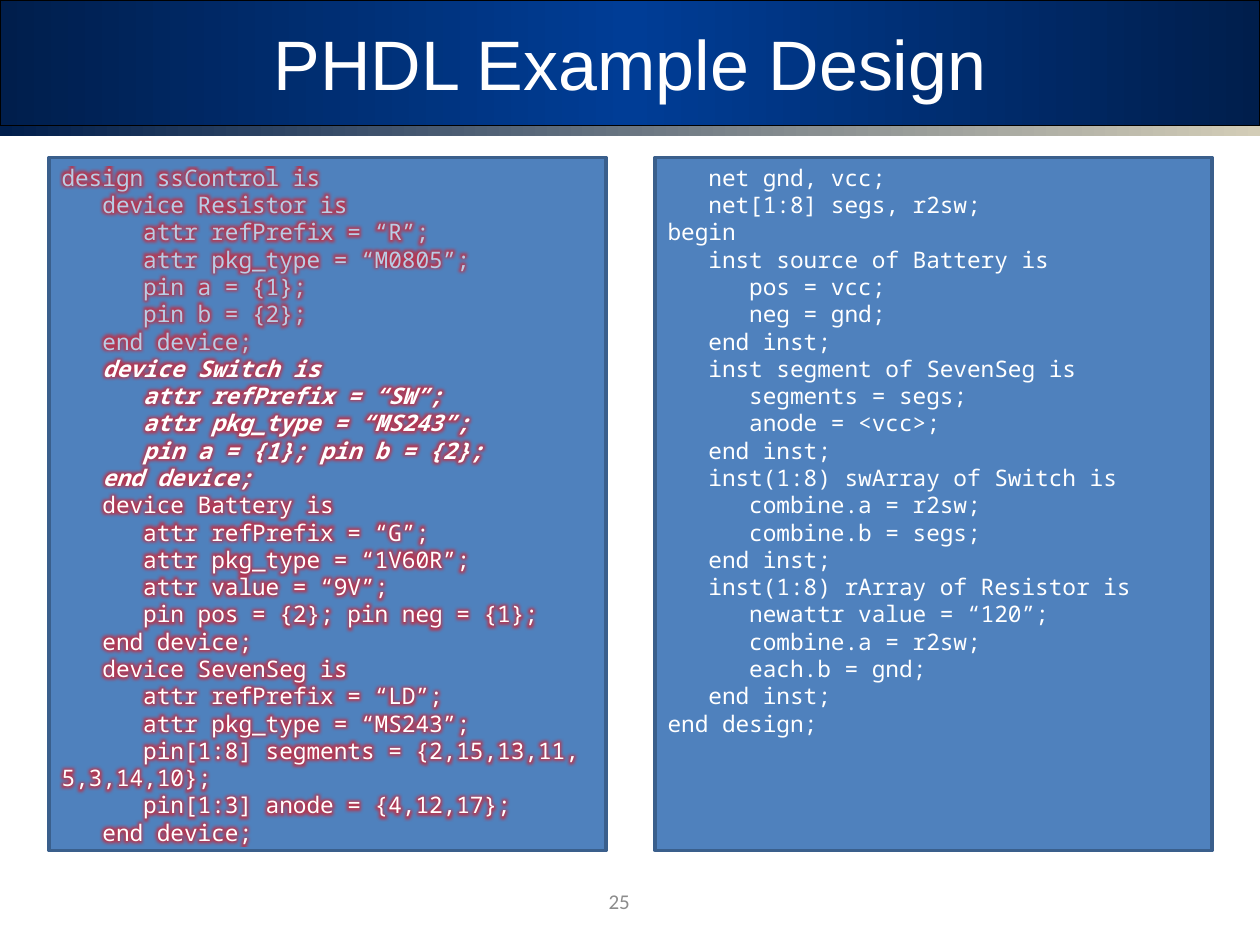
from lxml import etree
from pptx import Presentation
from pptx.dml.color import RGBColor
from pptx.enum import shapes, text
from pptx.oxml import parse_xml
from pptx.util import Inches, Pt

WHITE = RGBColor(0xFF, 0xFF, 0xFF)
BLACK = RGBColor(0, 0, 0)
GREY = RGBColor(0x8C, 0x8C, 0x8C)
PALE = RGBColor(0xB9, 0xCD, 0xE5)
BLUE = RGBColor(0x4F, 0x81, 0xBD)
EDGE = RGBColor(0x3A, 0x5F, 0x8C)
NAVY = RGBColor(0x00, 0x1E, 0x4C)
ROYAL = RGBColor(0x00, 0x3D, 0x96)
SAND = RGBColor(0xD3, 0xCD, 0xB7)
GLOW = RGBColor(0xC8, 0x28, 0x3C)
NS = 'xmlns:a="http://schemas.openxmlformats.org/drawingml/2006/main"'

LEFT = """design ssControl is
   device Resistor is
      attr refPrefix = “R”;
      attr pkg_type = “M0805”;
      pin a = {1};
      pin b = {2};
   end device;
   device Switch is
      attr refPrefix = “SW”;
      attr pkg_type = “MS243”;
      pin a = {1}; pin b = {2};
   end device;
   device Battery is
      attr refPrefix = “G”;
      attr pkg_type = “1V60R”;
      attr value = “9V”;
      pin pos = {2}; pin neg = {1};
   end device;
   device SevenSeg is
      attr refPrefix = “LD”;
      attr pkg_type = “MS243”;
      pin[1:8] segments = {2,15,13,11, 5,3,14,10};
      pin[1:3] anode = {4,12,17};
   end device;"""

RIGHT = """   net gnd, vcc;
   net[1:8] segs, r2sw;
begin
   inst source of Battery is
      pos = vcc;
      neg = gnd;
   end inst;
   inst segment of SevenSeg is
      segments = segs;
      anode = <vcc>;
   end inst;
   inst(1:8) swArray of Switch is
      combine.a = r2sw;
      combine.b = segs;
   end inst;
   inst(1:8) rArray of Resistor is
      newattr value = “120”;
      combine.a = r2sw;
      each.b = gnd;
   end inst;
end design;"""


def style(run, face, size, tint):
    run.font.size = Pt(size)
    run.font.color.rgb = tint
    run.font.name = face


deck = Presentation()
deck.slide_width, deck.slide_height = Inches(10), Inches(7.5)
slide = deck.slides.add_slide(deck.slide_layouts[5])
tree = slide.shapes

title = tree.title
title.left, title.top = Inches(0.5), Inches(0)
title.width, title.height = Inches(9), Inches(1)
title.text_frame.vertical_anchor = text.MSO_ANCHOR.MIDDLE
para = title.text_frame.paragraphs[0]
para.alignment = text.PP_ALIGN.CENTER
run = para.add_run()
run.text = "PHDL Example Design"
style(run, "Arial", 40, WHITE)

bands = [
    (shapes.MSO_SHAPE.RECTANGLE, 0, 1, [NAVY, ROYAL, NAVY]),
    (shapes.MSO_SHAPE.ROUNDED_RECTANGLE, 1, 0.08, [NAVY, SAND]),
]
for spot, (kind, top, high, tints) in enumerate(bands):
    band = tree.add_shape(kind, Inches(0), Inches(top), Inches(10), Inches(high))
    band.shadow.inherit = False
    band.fill.gradient()
    band.fill.gradient_angle = 0
    stops = band.fill._fill._gradFill.gsLst
    for old in list(stops):
        stops.remove(old)
    for step, tint in enumerate(tints):
        pos = 100000 * step // (len(tints) - 1)
        stops.append(parse_xml(
            f'<a:gs {NS} pos="{pos}"><a:srgbClr val="{tint}"/></a:gs>'))
    if spot == 0:
        band.line.color.rgb = BLACK
        band.line.width = Pt(0.75)
    else:
        band.adjustments[0] = 0.02
        band.line.fill.background()
    tree._spTree.insert(2 + spot, band._element)

page = tree.add_textbox(Inches(3.75), Inches(6.95), Inches(2.33), Inches(0.4))
page.text_frame.word_wrap = True
page.text_frame.vertical_anchor = text.MSO_ANCHOR.MIDDLE
para = page.text_frame.paragraphs[0]
para.alignment = text.PP_ALIGN.CENTER
run = para.add_run()
run.text = "25"
style(run, "Calibri", 12, GREY)

for left, code, pale, bold, glow in [
    (0.39, LEFT, range(7), range(7, 12), True),
    (5.2, RIGHT, (), (), False),
]:
    box = tree.add_shape(shapes.MSO_SHAPE.RECTANGLE,
                         Inches(left), Inches(1.25), Inches(4.42), Inches(5.5))
    box.shadow.inherit = False
    box.fill.solid()
    box.fill.fore_color.rgb = BLUE
    box.line.color.rgb = EDGE
    box.line.width = Pt(2)
    frame = box.text_frame
    frame.word_wrap = True
    frame.vertical_anchor = text.MSO_ANCHOR.TOP
    for row, line in enumerate(code.split("\n")):
        para = frame.paragraphs[0] if row == 0 else frame.add_paragraph()
        para.alignment = text.PP_ALIGN.LEFT
        para.line_spacing = Pt(15.6)
        run = para.add_run()
        run.text = line
        style(run, "Noto Sans Mono", 13, PALE if row in pale else WHITE)
        run.font.bold = run.font.italic = row in bold
        if glow:
            halo = parse_xml(
                f'<a:effectLst {NS}><a:glow rad="63500"><a:srgbClr val="{GLOW}">'
                '<a:alpha val="80000"/></a:srgbClr></a:glow></a:effectLst>')
            run.font._element.insert(1, halo)

deck.save("out.pptx")
